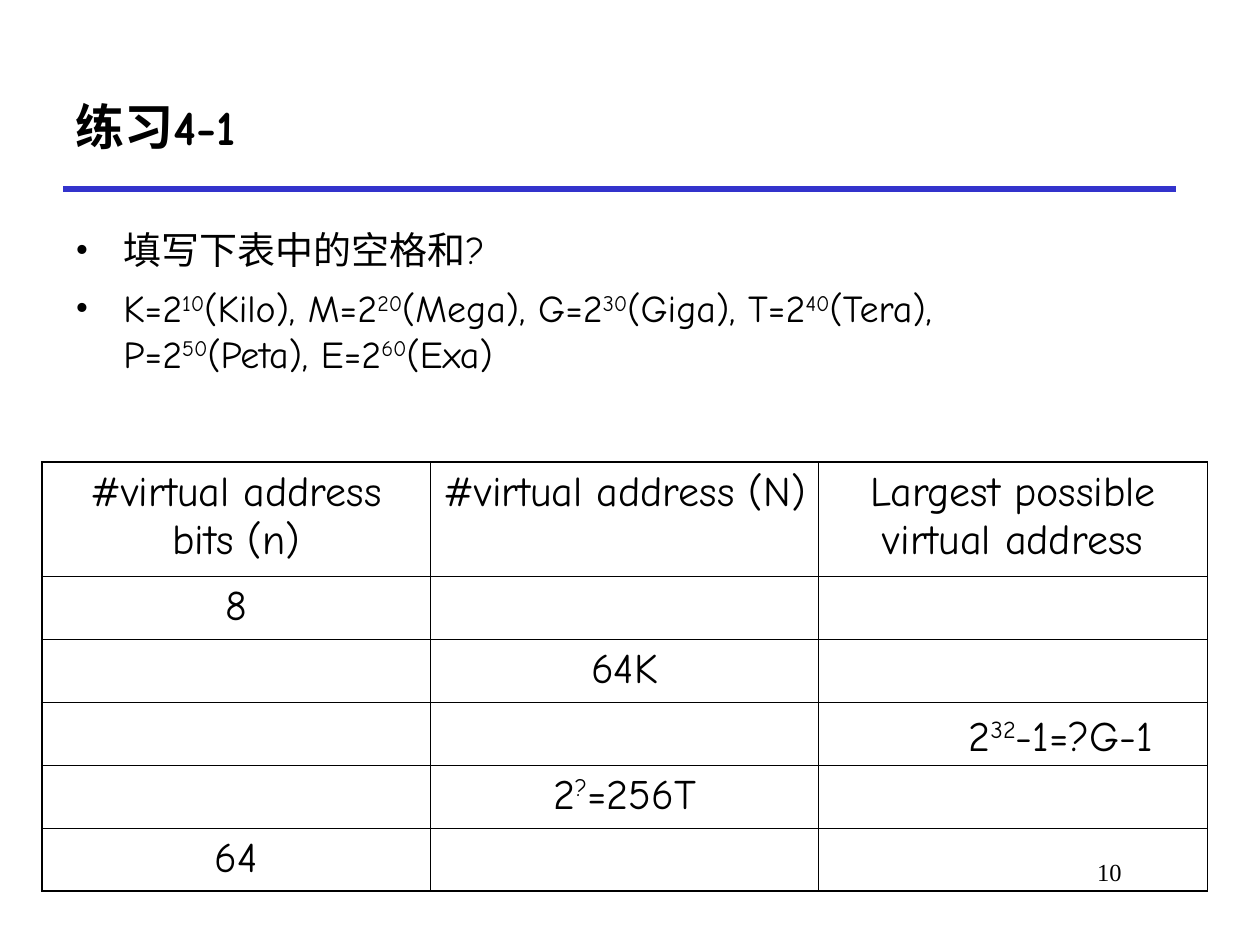
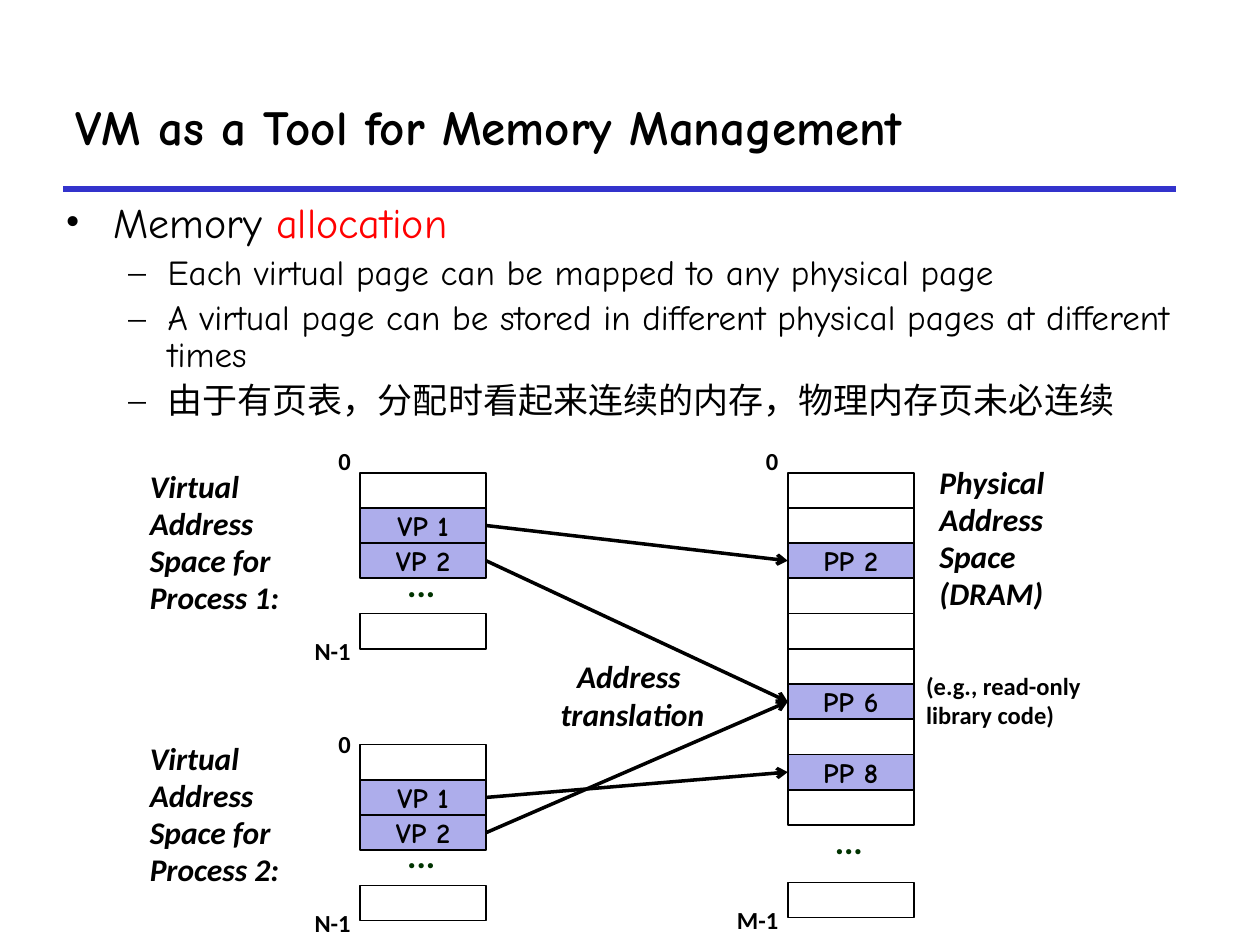
from lxml.etree import SubElement
from pptx import Presentation
from pptx.dml.color import RGBColor
from pptx.enum.shapes import MSO_CONNECTOR, MSO_SHAPE
from pptx.enum.text import MSO_ANCHOR, MSO_AUTO_SIZE, PP_ALIGN
from pptx.oxml.ns import qn
from pptx.util import Cm, Pt

BLACK, RULE_BLUE, PAGE_BLUE, RED, DOT_GREEN = "000000", "3333CC", "ADADEB", "FF0000", "003300"
SERIF = "Times New Roman"
HAND = {"name": "Comic Neue", "color": BLACK}
LABEL = {"name": "Calibri", "color": BLACK, "bold": True, "size": Pt(14)}
CAPTION = LABEL | {"size": Pt(18), "italic": True}
DOTS = LABEL | {"size": Pt(20), "color": DOT_GREEN}
CELL = HAND | {"size": Pt(24)}
RAISED = {"baseline": "30000"}
TIGHT = {"line_spacing": 0.98}
FIT = {"auto_size": MSO_AUTO_SIZE.SHAPE_TO_FIT_TEXT}
FIT_LINE = FIT | {"word_wrap": False}
CENTERED = {"alignment": PP_ALIGN.CENTER}
RIGHT = {"alignment": PP_ALIGN.RIGHT}
ROW_HEIGHT, COLUMN_WIDTH = 0.71, 2.54


def color(value):
    """Turn a hex string into a colour."""
    return RGBColor.from_string(value)


def apply(target, values):
    """Set every attribute named in a dict of format values."""
    for name, value in values.items():
        setattr(target, name, value)


def style_span(span, style):
    """Format one run, including its colour and raised baseline."""
    plain = {key: value for key, value in style.items() if key not in ("color", "baseline")}
    apply(span.font, plain)
    span.font.color.rgb = color(style["color"])
    if "baseline" in style:
        span._r.get_or_add_rPr().set("baseline", style["baseline"])


def write_spans(para, text, style, accent=None):
    """Write text in which every second part between bars takes the accent."""
    for index, part in enumerate(text.split("|")):
        span = para.add_run()
        span.text = part
        style_span(span, style | (accent or {}) if index % 2 else style)


def add_paragraph(frame, index):
    """Return the first paragraph of a frame or a new one."""
    return frame.add_paragraph() if index else frame.paragraphs[0]


def add_text(page, box, lines, style, layout=None, para_format=None, accent=None):
    """Add a text box with one paragraph for each line."""
    frame = page.shapes.add_textbox(*map(Cm, box)).text_frame
    apply(frame, {"word_wrap": True} | (layout or {}))
    for index, line in enumerate(lines):
        para = add_paragraph(frame, index)
        apply(para, para_format or {})
        write_spans(para, line, style, accent)


def add_bullet(para, mark, indent, hang):
    """Give a paragraph a hanging bullet."""
    properties = para._p.get_or_add_pPr()
    properties.set("marL", str(Cm(indent)))
    properties.set("indent", str(-Cm(hang)))
    tint = SubElement(properties, qn("a:buClr"))
    SubElement(tint, qn("a:srgbClr"), val=BLACK)
    SubElement(properties, qn("a:buFont"), typeface=SERIF)
    SubElement(properties, qn("a:buChar"), char=mark)


def draw_bullets(page, box, items, levels, accent):
    """Write a bulleted body whose items are pairs of level and text."""
    frame = page.shapes.add_textbox(*map(Cm, box)).text_frame
    frame.word_wrap = True
    for index, (level, text) in enumerate(items):
        kind = levels[level]
        para = add_paragraph(frame, index)
        para.level = level
        add_bullet(para, *kind["bullet"])
        para.line_spacing = kind["spacing"]
        if index:
            para.space_before = Pt(kind["before"])
        write_spans(para, text, HAND | {"size": Pt(kind["size"])}, accent)


def draw_line(page, start, end, tint, width):
    """Draw a straight connector without a shadow."""
    line = page.shapes.add_connector(MSO_CONNECTOR.STRAIGHT, *map(Cm, start + end))
    line.line.color.rgb = color(tint)
    line.line.width = Pt(width)
    SubElement(line._element.spPr, qn("a:effectLst"))
    return line


def add_page(deck, title, title_width):
    """Add a slide with its title and the rule below it."""
    page = deck.slides.add_slide(deck.slide_layouts[6])
    draw_line(page, (1.27, 3.81), (23.7, 3.81), RULE_BLUE, 3)
    add_text(page, (1.27, 1.27, title_width, 2.54), [title], HAND | {"size": Pt(28), "bold": True},
             {"vertical_anchor": MSO_ANCHOR.MIDDLE})
    return page


def set_borders(cell, edges):
    """Draw the four borders of a cell, thicker on the outside of the table."""
    properties = cell._tc.get_or_add_tcPr()
    for side, is_outer in edges.items():
        width = Pt(1.08 if is_outer else 0.45)
        border = SubElement(properties, qn(f"a:ln{side}"), w=str(width))
        fill = SubElement(border, qn("a:solidFill"))
        SubElement(fill, qn("a:srgbClr"), val=BLACK)


def draw_address_table(page, box, rows):
    """Draw the exercise table and the answer hint lying over it."""
    left, top, width, height = box
    row_count, column_count = len(rows), len(rows[0])
    table = page.shapes.add_table(row_count, column_count, *map(Cm, box)).table
    apply(table, {"first_row": False, "horz_banding": False})
    for column in table.columns:
        column.width = Cm(width / column_count)
    for index, row in enumerate(table.rows):
        row.height = Cm(1.27 if index else height - 1.27 * (row_count - 1))
        for number, text in enumerate(rows[index]):
            cell = table.cell(index, number)
            set_borders(cell, {"L": number == 0, "R": number == column_count - 1,
                               "T": index == 0, "B": index == row_count - 1})
            cell.fill.background()
            if text:
                para = cell.text_frame.paragraphs[0]
                apply(para, CENTERED)
                write_spans(para, text, CELL, RAISED)
    add_text(page, (left + 18.44, top + 4.85, 4.22, 1.27), ["2|32|-1=?G-1"], CELL, FIT_LINE, accent=RAISED)


def draw_memory_page(page, left, top, name):
    """Draw one memory page, filled when it has a name."""
    block = page.shapes.add_shape(MSO_SHAPE.RECTANGLE, *map(Cm, (left, top, COLUMN_WIDTH, ROW_HEIGHT)))
    block.shadow.inherit = False
    block.line.color.rgb = color(BLACK)
    block.line.width = Pt(1)
    if not name:
        block.fill.background()
        return block
    block.fill.solid()
    block.fill.fore_color.rgb = color(PAGE_BLUE)
    block.text_frame.vertical_anchor = MSO_ANCHOR.MIDDLE
    para = block.text_frame.paragraphs[0]
    apply(para, CENTERED)
    write_spans(para, name, HAND | {"size": Pt(16), "bold": True})
    return block


def draw_memory_column(page, left, top, names, last_offset, last_label, zero_offset=-0.64):
    """Draw an address space and return its named pages."""
    blocks = {}
    for index, name in enumerate(names):
        block = draw_memory_page(page, left, top + index * ROW_HEIGHT, name)
        if name:
            blocks[name] = block
    draw_memory_page(page, left, top + last_offset, "")
    gap_middle = top + (len(names) * ROW_HEIGHT + last_offset) / 2
    add_text(page, (left + 0.7, gap_middle - 0.7, 1.07, 0.99), ["..."], DOTS,
             FIT_LINE, {"line_spacing": 0.88})
    label_width = 1.8
    for text, offset in (("0", zero_offset), (last_label, last_offset + 0.36)):
        add_text(page, (left + 0.06 - label_width, top + offset, label_width, 0.84), [text], LABEL,
                 para_format=TIGHT | RIGHT)
    return blocks


def draw_process(page, left, top, number, zero_offset):
    """Draw the captioned virtual address space of one process."""
    add_text(page, (left, top - 0.2, 3.81, 3.23), [f"Virtual Address Space for Process {number}:"],
             CAPTION, FIT, TIGHT)
    return draw_memory_column(page, left + 4.49, top, ("", "VP 1", "VP 2"), 4 * ROW_HEIGHT, "N-1",
                              zero_offset)


def draw_physical_memory(page, left, top):
    """Draw the physical address space with its notes."""
    names = ("", "", "PP 2", "", "", "", "PP 6", "", "PP 8", "")
    add_text(page, (left + 2.81, top - 0.28, 2.97, 3.23), ["Physical", "Address", "Space (DRAM)"],
             CAPTION, FIT, TIGHT)
    add_text(page, (left + 2.54, top + 3.91, 4.04, 1.4), ["(e.g., read-only", "library code)"],
             LABEL, FIT, TIGHT)
    return draw_memory_column(page, left, top, names, 8.26, "M-1")


def draw_mapping(page, virtual_page, physical_page):
    """Join a virtual page to its physical page with an arrow."""
    arrow = draw_line(page, (0, 0), (1, 1), BLACK, 2)
    arrow.begin_connect(virtual_page, 3)
    arrow.end_connect(physical_page, 1)
    SubElement(arrow.line._get_or_add_ln(), qn("a:tailEnd"), type="arrow")


def draw_translation(page, left, top):
    """Draw two processes mapped onto one physical memory."""
    first = draw_process(page, left, top, 1, -0.64)
    second = draw_process(page, left, top + 5.48, 2, -0.41)
    physical = draw_physical_memory(page, left + 13.11, top)
    for process, source, target in ((first, "VP 1", "PP 2"), (first, "VP 2", "PP 6"),
                                    (second, "VP 2", "PP 6"), (second, "VP 1", "PP 8")):
        draw_mapping(page, process[source], physical[target])
    add_text(page, (left + 8.28, top + 3.6, 3.4, 1.78), ["Address ", "translation"], CAPTION,
             FIT_LINE, CENTERED)


def build_exercise(deck):
    """Build the exercise slide."""
    page = add_page(deck, "练习4-1", 22.43)
    add_text(page, (19.25, 17.15, 3.61, 1.27), ["10"],
             {"name": SERIF, "size": Pt(14), "color": BLACK}, para_format=RIGHT)
    levels = [{"bullet": ("•", 0.97, 0.97), "spacing": 1.0, "before": 7, "size": 21.7}]
    units = "K=2|10|(Kilo), M=2|20|(Mega), G=2|30|(Giga), T=2|40|(Tera), P=2|50|(Peta), E=2|60|(Exa)"
    draw_bullets(page, (1.27, 4.45, 20.96, 3.18), [(0, "填写下表中的空格和?"), (0, units)], levels, RAISED)
    draw_address_table(page, (0.84, 9.32, 23.5, 8.64), [
        ("#virtual address bits (n)", "#virtual address (N)", "Largest possible virtual address"),
        ("8", "", ""),
        ("", "64K", ""),
        ("", "", ""),
        ("", "2|?|=256T", ""),
        ("64", "", ""),
    ])


def build_memory_management(deck):
    """Build the memory management slide."""
    page = add_page(deck, "VM as a Tool for Memory Management", 23.93)
    levels = [{"bullet": ("•", 0.97, 0.97), "spacing": 0.83, "before": 6, "size": 24},
              {"bullet": ("–", 2.06, 0.79), "spacing": 0.88, "before": 5, "size": 20}]
    draw_bullets(page, (1.07, 4.01, 23.7, 5.28), [
        (0, "Memory |allocation"),
        (1, "Each virtual page can be mapped to any physical page"),
        (1, "A virtual page can be stored in different physical pages at different times"),
        (1, "由于有页表，分配时看起来连续的内存，物理内存页未必连续"),
    ], levels, {"color": RED})
    draw_translation(page, 2.77, 9.53)


def main():
    """Build and save the deck."""
    deck = Presentation()
    apply(deck, {"slide_width": Cm(25.4), "slide_height": Cm(19.05)})
    build_exercise(deck)
    build_memory_management(deck)
    deck.save("out.pptx")


if __name__ == "__main__":
    main()
